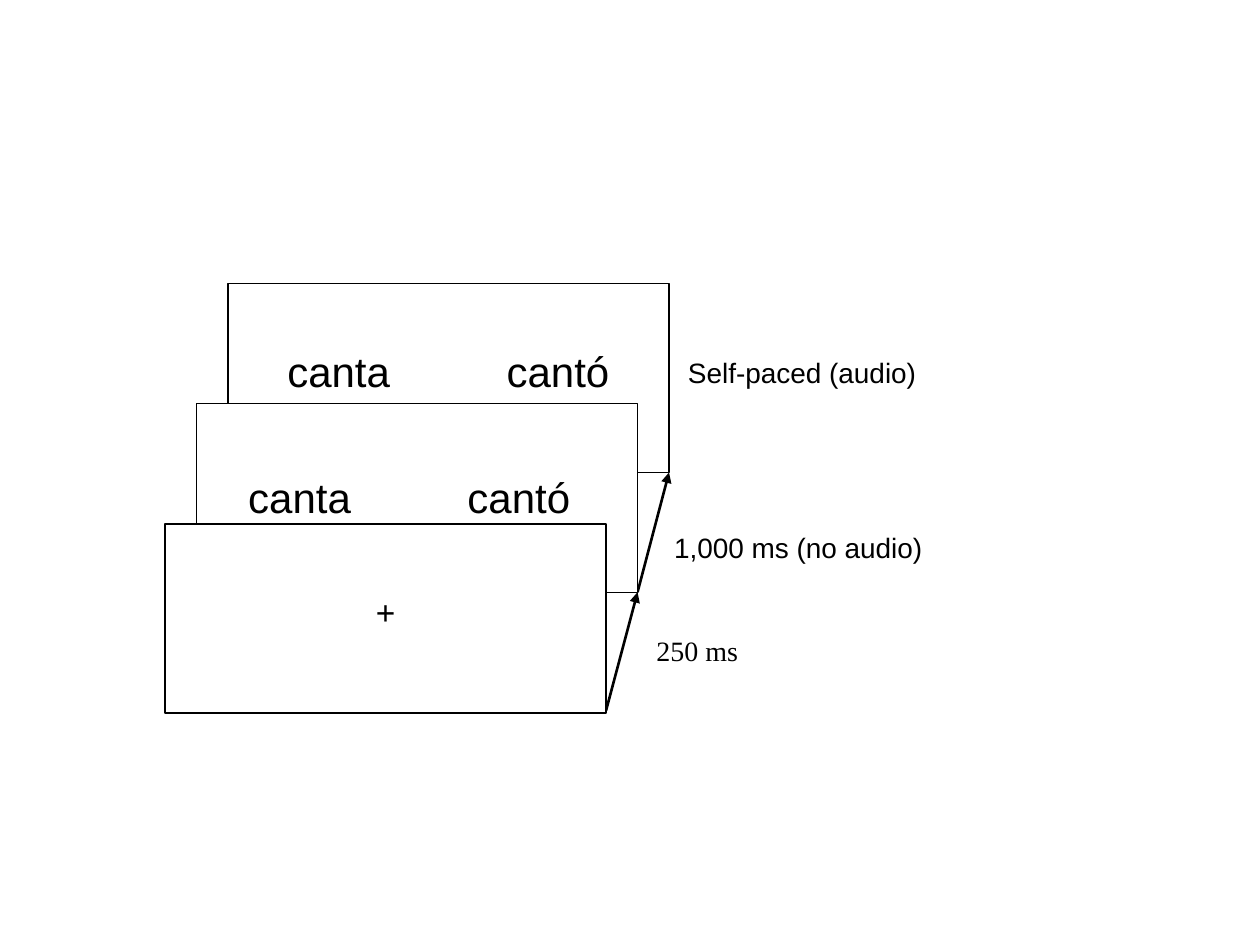
from dataclasses import dataclass

from lxml import etree
from pptx import Presentation
from pptx.dml.color import RGBColor
from pptx.enum.shapes import MSO_CONNECTOR, MSO_SHAPE
from pptx.enum.text import MSO_ANCHOR, PP_ALIGN
from pptx.oxml.ns import qn
from pptx.slide import Slide
from pptx.util import Inches, Pt

CARD = MSO_SHAPE.FLOWCHART_PROCESS
LINE = MSO_CONNECTOR.STRAIGHT
TOP = MSO_ANCHOR.TOP
LEFT, MID = PP_ALIGN.LEFT, PP_ALIGN.CENTER
BLACK, WHITE = "000000", "FFFFFF"
SANS, SERIF = "Arial", "Times New Roman"
CARD_W, CARD_H = 3.5, 1.5
WORD_TAB = 1.74
WORDS = "canta\tcantó"


@dataclass
class Label:
    text: str
    left: float
    top: float
    width: float
    height: float = 0.38
    inset: float = 0.27
    size: int = 16
    face: str = SANS
    bold: bool = False
    align: PP_ALIGN = LEFT


@dataclass
class Screen:
    left: float
    top: float
    label: Label


# Screens from back to front, each with what it shows
SCREENS = [
    Screen(1.81, 2.25, Label(WORDS, 2, 2.69, 3.12, 0.5, 0.28, 24)),
    Screen(1.56, 3.2, Label(WORDS, 1.69, 3.69, 3.12, 0.5, 0.28, 24)),
    Screen(1.31, 4.16, Label("+", 1.31, 4.64, CARD_W, 0.5, 0.1, 20, SERIF, True, MID)),
]
TIMES = [
    Label("Self-paced (audio)", 5.19, 2.77, 2.82),
    Label("1,000 ms (no audio)", 5.06, 4.16, 2.77, inset=0.29),
    Label("250 ms", 4.94, 4.98, 1.25, face=SERIF),
]
# Corner points that the arrows join, from first screen to last
STEPS = [(4.81, 5.64), (5.06, 4.7), (5.31, 3.75)]


def color(code: str) -> RGBColor:
    return RGBColor.from_string(code)


def add_label(slide: Slide, label: Label) -> None:
    box = slide.shapes.add_textbox(
        *map(Inches, (label.left, label.top, label.width, label.height)))
    frame = box.text_frame
    form = {"word_wrap": True, "vertical_anchor": TOP,
            "margin_left": Inches(label.inset)}
    for name, value in form.items():
        setattr(frame, name, value)
    para = frame.paragraphs[0]
    para.text = label.text
    para.alignment = label.align
    if "\t" in label.text:
        tabs = etree.SubElement(para._p.get_or_add_pPr(), qn("a:tabLst"))
        etree.SubElement(tabs, qn("a:tab"), pos=str(Inches(WORD_TAB)), algn="l")
    font = para.runs[0].font
    for name, value in {"name": label.face, "size": Pt(label.size),
                        "bold": label.bold}.items():
        setattr(font, name, value)
    font.color.rgb = color(BLACK)


def add_screen(slide: Slide, screen: Screen) -> None:
    card = slide.shapes.add_shape(
        CARD, *map(Inches, (screen.left, screen.top, CARD_W, CARD_H)))
    card.shadow.inherit = False
    card.fill.solid()
    card.fill.fore_color.rgb = color(WHITE)
    card.line.color.rgb = color(BLACK)
    card.line.width = Pt(0.75)
    add_label(slide, screen.label)


def add_arrow(slide: Slide, start: tuple[float, float], end: tuple[float, float]) -> None:
    arrow = slide.shapes.add_connector(LINE, *map(Inches, start + end))
    arrow.line.color.rgb = color(BLACK)
    arrow.line.width = Pt(1.5)
    etree.SubElement(arrow.line._get_or_add_ln(), qn("a:tailEnd"), type="triangle")
    etree.SubElement(arrow._element.spPr, qn("a:effectLst"))


def main() -> None:
    deck = Presentation()
    deck.slide_width, deck.slide_height = Inches(10), Inches(7.5)
    slide = deck.slides.add_slide(deck.slide_layouts[6])

    # Arrows in time order
    for start, end in zip(STEPS, STEPS[1:]):
        add_arrow(slide, start, end)
    # Stacked screens
    for screen in SCREENS:
        add_screen(slide, screen)
    # Durations
    for label in TIMES:
        add_label(slide, label)

    deck.save("out.pptx")


if __name__ == "__main__":
    main()
